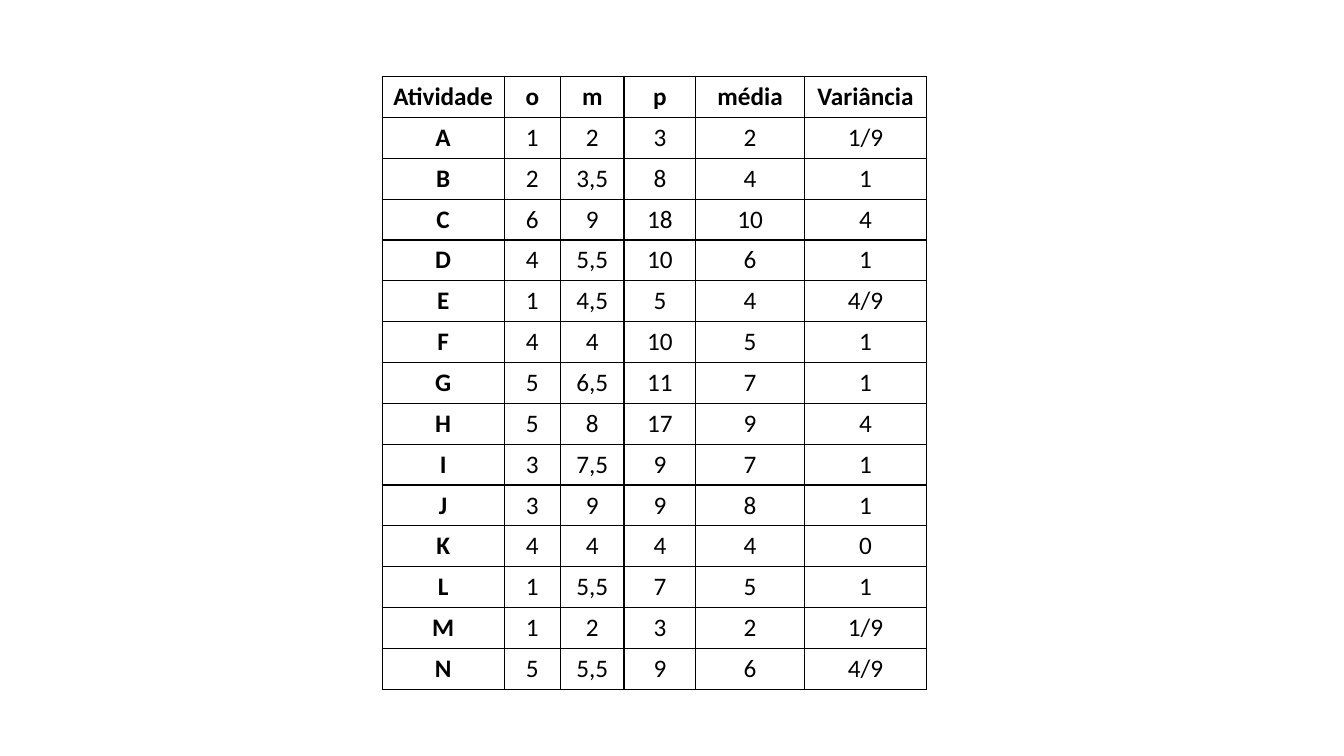
import pptx
import pptx.util
import pptx.dml.color
import pptx.enum.text
import pptx.oxml
import pptx.oxml.ns
from dataclasses import dataclass

HEADER = ("Atividade", "o", "m", "p", "média", "Variância")
ACTIVITIES = [
    ("A", "1", "2", "3", "2", "1/9"),
    ("B", "2", "3,5", "8", "4", "1"),
    ("C", "6", "9", "18", "10", "4"),
    ("D", "4", "5,5", "10", "6", "1"),
    ("E", "1", "4,5", "5", "4", "4/9"),
    ("F", "4", "4", "10", "5", "1"),
    ("G", "5", "6,5", "11", "7", "1"),
    ("H", "5", "8", "17", "9", "4"),
    ("I", "3", "7,5", "9", "7", "1"),
    ("J", "3", "9", "9", "8", "1"),
    ("K", "4", "4", "4", "4", "0"),
    ("L", "1", "5,5", "7", "5", "1"),
    ("M", "1", "2", "3", "2", "1/9"),
    ("N", "5", "5,5", "9", "6", "4/9"),
]
COLUMN_WIDTHS = (1.21, 0.56, 0.63, 0.71, 1.08, 1.21)
TABLE_LEFT, TABLE_TOP, TABLE_HEIGHT = 3.79, 0.76, 6.08
SLIDE_WIDTH, SLIDE_HEIGHT = 13.33, 7.5
BLANK_LAYOUT = 6


@dataclass(frozen=True)
class Theme:
    font: str = "Calibri"
    size: int = 18
    ink: str = "000000"
    border_width: float = 1
    margin_x: float = 0.07
    margin_y: float = 0.04


THEME = Theme()
Inches = pptx.util.Inches


def add_borders(cell):
    properties = cell._tc.get_or_add_tcPr()
    for position, side in enumerate(("lnL", "lnR", "lnT", "lnB")):
        line = pptx.oxml.parse_xml(
            f'<a:{side} {pptx.oxml.ns.nsdecls("a")} w="{pptx.util.Pt(THEME.border_width)}">'
            f'<a:solidFill><a:srgbClr val="{THEME.ink}"/></a:solidFill></a:{side}>'
        )
        properties.insert(position, line)


def fill_cell(cell, text, bold):
    cell.fill.background()
    add_borders(cell)
    cell.margin_left = cell.margin_right = Inches(THEME.margin_x)
    cell.margin_top = cell.margin_bottom = Inches(THEME.margin_y)
    cell.vertical_anchor = pptx.enum.text.MSO_ANCHOR.MIDDLE
    cell.text = text
    paragraph = cell.text_frame.paragraphs[0]
    paragraph.alignment = pptx.enum.text.PP_ALIGN.CENTER
    paragraph.font.name = THEME.font
    paragraph.font.size = pptx.util.Pt(THEME.size)
    paragraph.font.bold = bold
    paragraph.font.color.rgb = pptx.dml.color.RGBColor.from_string(THEME.ink)


def add_activity_table(slide):
    rows = [HEADER, *ACTIVITIES]
    table = slide.shapes.add_table(
        len(rows), len(HEADER), Inches(TABLE_LEFT), Inches(TABLE_TOP),
        Inches(sum(COLUMN_WIDTHS)), Inches(TABLE_HEIGHT),
    ).table
    table.first_row = table.horz_banding = False
    for column, width in zip(table.columns, COLUMN_WIDTHS):
        column.width = Inches(width)
    for row_index, row in enumerate(rows):
        for column_index, text in enumerate(row):
            is_heading = row_index == 0 or column_index == 0
            fill_cell(table.cell(row_index, column_index), text, is_heading)


def main():
    presentation = pptx.Presentation()
    presentation.slide_width = Inches(SLIDE_WIDTH)
    presentation.slide_height = Inches(SLIDE_HEIGHT)
    slide = presentation.slides.add_slide(presentation.slide_layouts[BLANK_LAYOUT])
    add_activity_table(slide)
    presentation.save("out.pptx")


if __name__ == "__main__":
    main()
